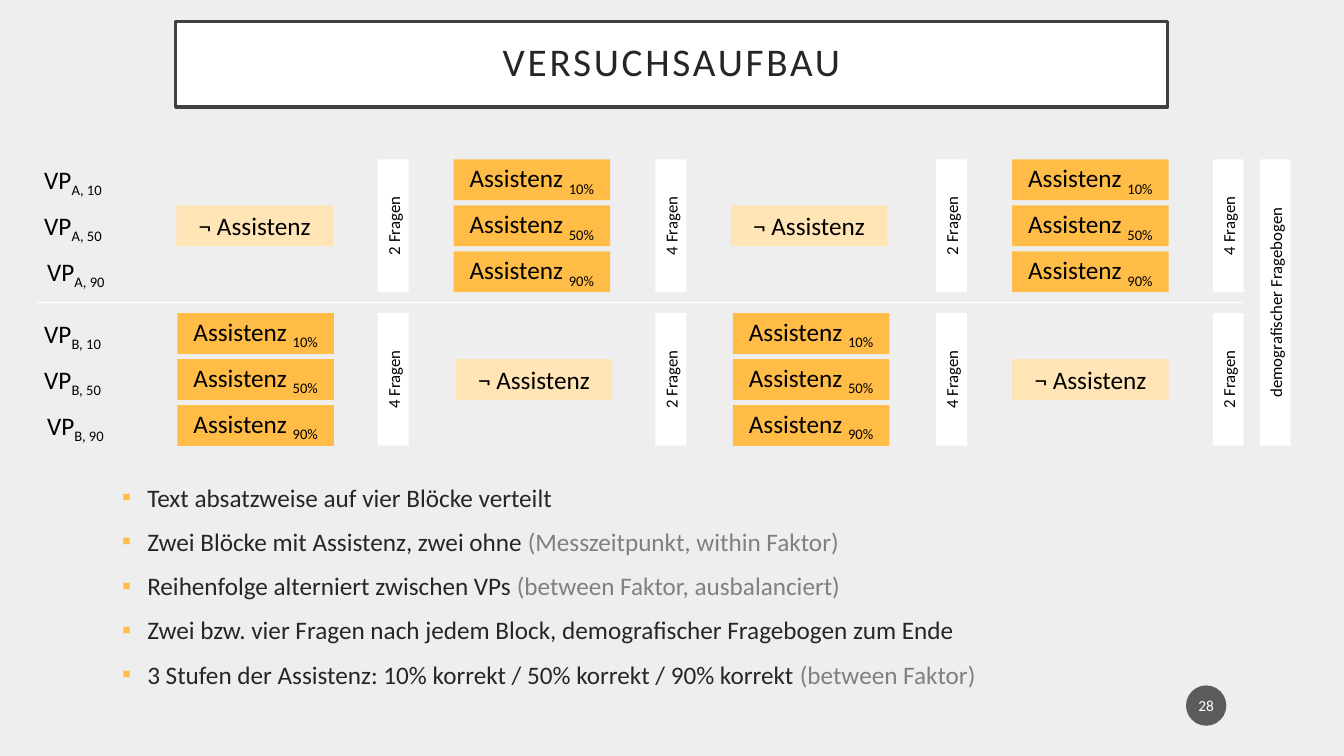
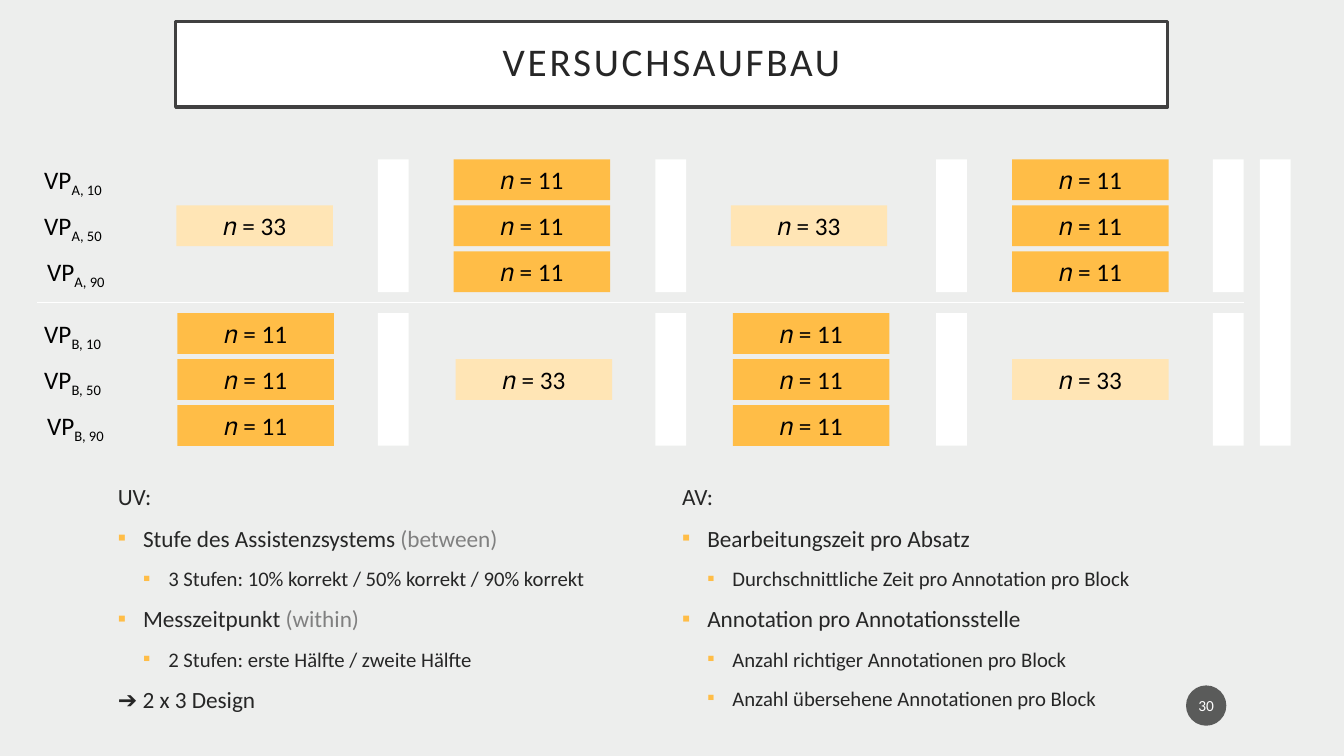
from lxml.etree import SubElement
from pptx import Presentation
from pptx.dml.color import RGBColor
from pptx.enum.shapes import MSO_CONNECTOR, MSO_SHAPE
from pptx.enum.text import MSO_ANCHOR, MSO_AUTO_SIZE, PP_ALIGN
from pptx.oxml.ns import qn
from pptx.util import Pt

BACKGROUND = RGBColor(0xED, 0xEE, 0xED)
WHITE = RGBColor(0xFF, 0xFF, 0xFF)
BLACK = RGBColor(0x00, 0x00, 0x00)
TEXT = RGBColor(0x26, 0x26, 0x26)
MUTED = RGBColor(0x80, 0x80, 0x80)
FRAME = RGBColor(0x40, 0x40, 0x40)
BADGE = RGBColor(0x1D, 0x1D, 0x1D)
ORANGE = RGBColor(0xFF, 0xBD, 0x47)
PALE_ORANGE = RGBColor(0xFF, 0xE5, 0xB5)

FONT = "Calibri"
CONTENT_LAYOUT, TWO_CONTENT_LAYOUT = 1, 3

LEVELS = (10, 50, 90)
LABEL_LEFTS = (24.5, 24.5, 26.5)
BAR_LEFTS = (270, 468.2, 668.6, 866.4)
GROUPS = (
    ("A", 113.8, (126, 324, 522, 723), 0),
    ("B", 223.6, (126.8, 325.5, 523.5, 723), 1),
)
ROW_STEP = 32.9
BOX_WIDTH, BOX_HEIGHT = 111.8, 29.1
BAR_WIDTH, BAR_HEIGHT = 22, 94.8
FINAL_BAR_LEFT = 900


def add_text(paragraph, text, size=18, color=BLACK, subscript=False, spacing=0):
    run = paragraph.add_run()
    run.text = text
    run.font.name = FONT
    run.font.size = Pt(size)
    run.font.color.rgb = color
    properties = run._r.get_or_add_rPr()
    if subscript:
        properties.set("baseline", "-25000")
    if spacing:
        properties.set("spc", str(spacing * 100))


class Deck:
    def __init__(self):
        self.presentation = Presentation()
        self.presentation.slide_width = Pt(960)
        self.presentation.slide_height = Pt(540)
        fill = self.presentation.slide_master.background.fill
        fill.solid()
        fill.fore_color.rgb = BACKGROUND
        self.slide = None

    def new_slide(self, layout, title, number):
        layouts = self.presentation.slide_layouts
        self.slide = self.presentation.slides.add_slide(layouts[layout])
        self.title(title)
        self.badge(number)

    def place(self, shape, left, top, width, height):
        shape.left, shape.top = Pt(left), Pt(top)
        shape.width, shape.height = Pt(width), Pt(height)
        frame = shape.text_frame
        frame.word_wrap = True
        frame.auto_size = MSO_AUTO_SIZE.NONE
        return frame

    def title(self, text):
        shape = self.slide.shapes.title
        frame = self.place(shape, 125.5, 15.5, 708.5, 60.8)
        shape.fill.solid()
        shape.fill.fore_color.rgb = WHITE
        shape.line.color.rgb = FRAME
        shape.line.width = Pt(2.5)
        frame.vertical_anchor = MSO_ANCHOR.MIDDLE
        frame.margin_left = frame.margin_right = Pt(14.4)
        frame.margin_top = frame.margin_bottom = Pt(14.4)
        paragraph = frame.paragraphs[0]
        paragraph.alignment = PP_ALIGN.CENTER
        paragraph.line_spacing = 0.9
        add_text(paragraph, text, size=28, color=TEXT, spacing=2)

    def shape(self, kind, left, top, width, height, color):
        shape = self.slide.shapes.add_shape(
            kind, Pt(left), Pt(top), Pt(width), Pt(height))
        shape.shadow.inherit = False
        shape.fill.solid()
        shape.fill.fore_color.rgb = color
        shape.line.fill.background()
        frame = shape.text_frame
        frame.word_wrap = True
        frame.vertical_anchor = MSO_ANCHOR.MIDDLE
        frame.paragraphs[0].alignment = PP_ALIGN.CENTER
        return shape

    def badge(self, number):
        shape = self.shape(MSO_SHAPE.OVAL, 847.2, 489.6, 28.8, 28.8, BADGE)
        color = shape.fill._xPr.find(qn("a:solidFill"))[0]
        SubElement(color, qn("a:alpha")).set("val", "70000")
        frame = shape.text_frame
        frame.margin_left = frame.margin_right = Pt(1.4)
        add_text(frame.paragraphs[0], str(number), size=11, color=WHITE)

    def box(self, left, top, color, text, subscript=""):
        shape = self.shape(
            MSO_SHAPE.RECTANGLE, left, top, BOX_WIDTH, BOX_HEIGHT, color)
        paragraph = shape.text_frame.paragraphs[0]
        add_text(paragraph, text)
        if subscript:
            add_text(paragraph, subscript, subscript=True)

    def bar(self, left, top, height, text):
        shape = self.shape(
            MSO_SHAPE.RECTANGLE, left + (BAR_WIDTH - height) / 2,
            top + (height - BAR_WIDTH) / 2, height, BAR_WIDTH, WHITE)
        shape.rotation = 270
        if text:
            add_text(shape.text_frame.paragraphs[0], text, size=12)

    def label(self, left, top, text, subscript):
        shape = self.slide.shapes.add_textbox(0, 0, 0, 0)
        frame = self.place(shape, left, top, 87, BOX_HEIGHT)
        add_text(frame.paragraphs[0], text)
        add_text(frame.paragraphs[0], subscript, subscript=True)

    def divider(self, left, right, y):
        connector = self.slide.shapes.add_connector(
            MSO_CONNECTOR.STRAIGHT, Pt(left), Pt(y), Pt(right), Pt(y))
        connector.line.color.rgb = WHITE
        connector.line.width = Pt(0.5)
        SubElement(connector._element.spPr, qn("a:effectLst"))

    def bullet_list(self, index, left, width, items, sizes):
        shape = self.slide.placeholders[index]
        frame = self.place(shape, left, 340.6, width, 177.8)
        frame.vertical_anchor = MSO_ANCHOR.TOP
        for position, (depth, text, remark) in enumerate(items):
            paragraph = frame.paragraphs[0] if position == 0 else frame.add_paragraph()
            paragraph.level = max(depth - 1, 0)
            paragraph.space_before = Pt(10)
            paragraph.space_after = Pt(0)
            paragraph.line_spacing = 1.0
            self.bullet(paragraph, depth)
            add_text(paragraph, text, size=sizes[depth], color=TEXT)
            if remark:
                add_text(paragraph, remark, size=sizes[depth], color=MUTED)

    def bullet(self, paragraph, depth):
        properties = paragraph._p.get_or_add_pPr()
        properties.set("marL", str(Pt(18 * depth)))
        properties.set("indent", str(Pt(-18 if depth else 0)))
        if not depth:
            SubElement(properties, qn("a:buNone"))
            return
        color = SubElement(properties, qn("a:buClr"))
        SubElement(color, qn("a:srgbClr")).set("val", str(ORANGE))
        SubElement(properties, qn("a:buFont")).set("typeface", FONT)
        SubElement(properties, qn("a:buChar")).set("char", "▪")

    def design(self, plain, assisted, subscripts, questions, final):
        for group, top, box_lefts, first_plain in GROUPS:
            row_tops = [top + ROW_STEP * row for row in range(len(LEVELS))]
            for left, row_top, level in zip(LABEL_LEFTS, row_tops, LEVELS):
                self.label(left, row_top, "VP", f"{group}, {level}")
            for block, (left, bar_left) in enumerate(zip(box_lefts, BAR_LEFTS)):
                is_plain = block % 2 == first_plain
                if is_plain:
                    self.box(left, row_tops[1], PALE_ORANGE, plain)
                else:
                    for row_top, subscript in zip(row_tops, subscripts):
                        self.box(left, row_top, ORANGE, assisted, subscript)
                self.bar(bar_left, top, BAR_HEIGHT, questions[0 if is_plain else 1])
        first_top, last_top = GROUPS[0][1], GROUPS[-1][1]
        self.bar(FINAL_BAR_LEFT, first_top, last_top + BAR_HEIGHT - first_top, final)
        self.divider(26.5, 888.5, 216)


def main():
    deck = Deck()

    deck.new_slide(CONTENT_LAYOUT, "VERSUCHSAUFBAU", 28)
    deck.design("¬ Assistenz", "Assistenz ", [f"{level}%" for level in LEVELS],
                ("2 Fragen", "4 Fragen"), "demografischer Fragebogen")
    deck.bullet_list(1, 80, 799, (
        (1, "Text absatzweise auf vier Blöcke verteilt", ""),
        (1, "Zwei Blöcke mit Assistenz, zwei ohne ", "(Messzeitpunkt, within Faktor)"),
        (1, "Reihenfolge alterniert zwischen VPs ", "(between Faktor, ausbalanciert)"),
        (1, "Zwei bzw. vier Fragen nach jedem Block, demografischer Fragebogen zum Ende", ""),
        (1, "3 Stufen der Assistenz: 10% korrekt / 50% korrekt / 90% korrekt ",
         "(between Faktor)"),
    ), (18, 18))

    deck.new_slide(TWO_CONTENT_LAYOUT, "VERSUCHSAUFBAU", 30)
    deck.design("𝑛 = 33", "𝑛 = 11", [""] * len(LEVELS), ("", ""), "")
    sizes = (16.6, 16.6, 14.8)
    deck.bullet_list(1, 77, 365, (
        (0, "UV:", ""),
        (1, "Stufe des Assistenzsystems ", "(between)"),
        (2, "3 Stufen: 10% korrekt / 50% korrekt / 90% korrekt", ""),
        (1, "Messzeitpunkt ", "(within)"),
        (2, "2 Stufen: erste Hälfte / zweite Hälfte", ""),
        (0, "➔ 2 x 3 Design", ""),
    ), sizes)
    deck.bullet_list(2, 480, 354, (
        (0, "AV:", ""),
        (1, "Bearbeitungszeit pro Absatz", ""),
        (2, "Durchschnittliche Zeit pro Annotation pro Block", ""),
        (1, "Annotation pro Annotationsstelle", ""),
        (2, "Anzahl richtiger Annotationen pro Block", ""),
        (2, "Anzahl übersehene Annotationen pro Block", ""),
    ), sizes)

    deck.presentation.save("out.pptx")


if __name__ == "__main__":
    main()
